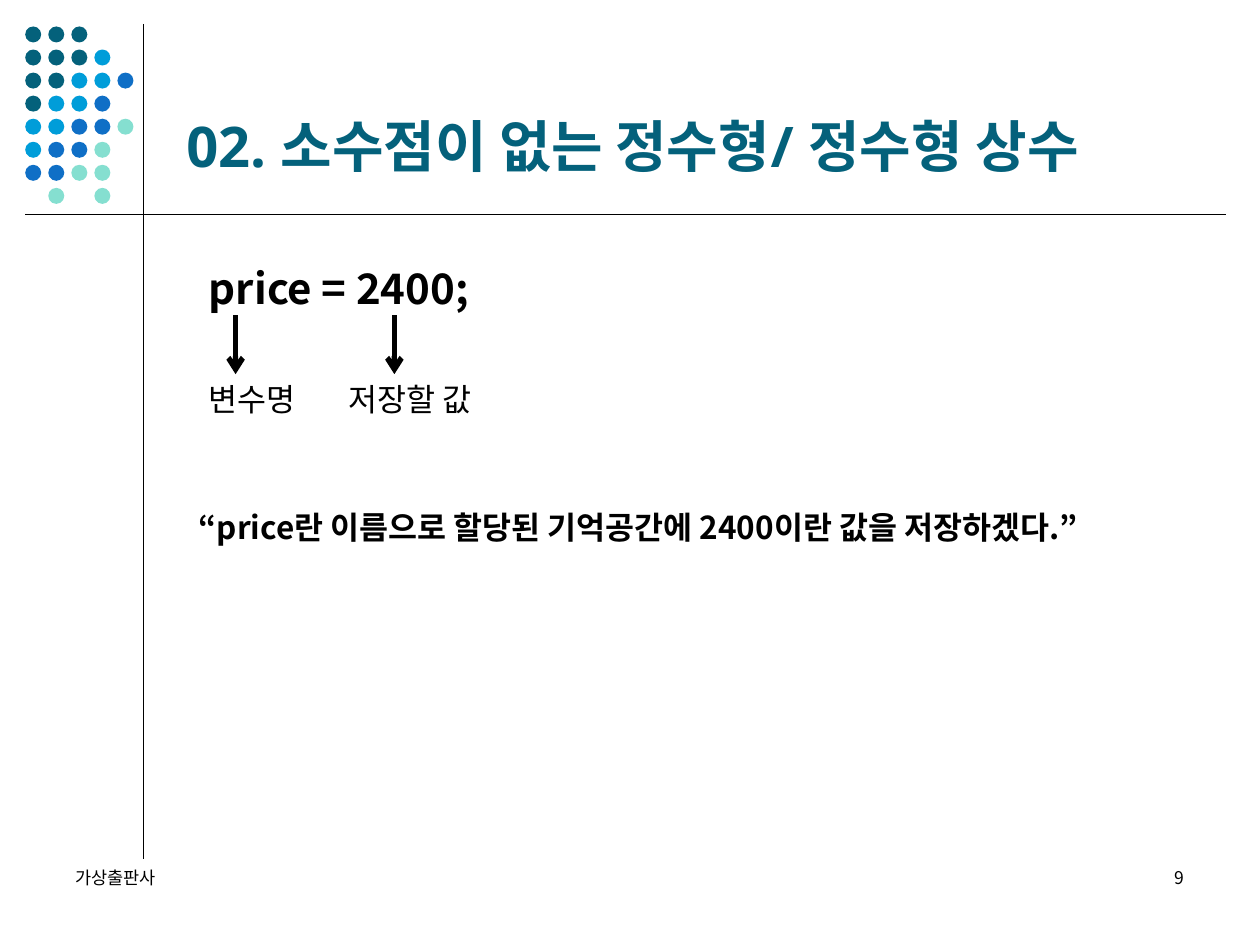
"""Build the slide on integer types and integer constants."""
from lxml import etree
from pptx import Presentation
from pptx.dml.color import RGBColor
from pptx.enum.shapes import MSO_CONNECTOR, MSO_SHAPE
from pptx.enum.text import MSO_ANCHOR, PP_ALIGN
from pptx.oxml.ns import qn
from pptx.util import Inches, Pt

STRAIGHT = MSO_CONNECTOR.STRAIGHT
OVAL = MSO_SHAPE.OVAL
TOP, MIDDLE, BOTTOM = MSO_ANCHOR.TOP, MSO_ANCHOR.MIDDLE, MSO_ANCHOR.BOTTOM
LEFT, RIGHT = PP_ALIGN.LEFT, PP_ALIGN.RIGHT
SANS, KOREAN = "Open Sans", "Noto Sans CJK KR"
COLORS = {"black": "000000", "T": "04617B", "C": "009DD9", "B": "0F6FC6", "M": "85DFD0"}

prs = Presentation()
prs.slide_width, prs.slide_height = Inches(10), Inches(7.5)
COL, ROW = prs.slide_width / 100, prs.slide_height / 75
s = prs.slides.add_slide(prs.slide_layouts[6])


def add_line(x1, y1, x2, y2, width, arrow=False):
    line = s.shapes.add_connector(
        STRAIGHT, int(x1 * COL), int(y1 * ROW), int(x2 * COL), int(y2 * ROW)
    )
    line.line.color.rgb = RGBColor.from_string(COLORS["black"])
    line.line.width = Pt(width)
    if arrow:
        etree.SubElement(line.line._get_or_add_ln(), qn("a:tailEnd"), type="arrow")
    etree.SubElement(line._element.spPr, qn("a:effectLst"))


def add_text(text, x, y, w, h, size, bold=False, font=KOREAN, color="black", anchor=TOP, align=LEFT):
    sp = s.shapes.add_textbox(int(x * COL), int(y * ROW), int(w * COL), int(h * ROW))
    tf = sp.text_frame
    tf.word_wrap = True
    tf.vertical_anchor = anchor
    tf.text = text
    p = tf.paragraphs[0]
    p.alignment = align
    r = p.runs[0]
    r.font.size, r.font.bold, r.font.name = Pt(size), bold, font
    r.font.color.rgb = RGBColor.from_string(COLORS[color])
    etree.SubElement(r.font._element, qn("a:ea"), typeface=KOREAN)


add_line(11.4, 1.9, 11.4, 68.2, 0.75)

dots = s.shapes.add_group_shape()
for row, pattern in enumerate(["TTT", "TTTC", "TTCCB", "TCCB", "CCBBM", "CBBM", "BBMM", " M M"]):
    for col, key in enumerate(pattern):
        if key != " ":
            sp = dots.shapes.add_shape(
                OVAL, int((2 + 1.83 * col) * COL), int((2.1 + 1.83 * row) * ROW),
                int(1.27 * COL), int(1.27 * ROW),
            )
            sp.shadow.inherit = False
            sp.fill.solid()
            sp.fill.fore_color.rgb = RGBColor.from_string(COLORS[key])
            sp.line.fill.background()

add_line(2, 17, 97.3, 17, 0.75)
add_text("02. 소수점이 없는 정수형/ 정수형 상수", 13.8, 2.1, 82.5, 12.6, 32, True, SANS, "T", BOTTOM)

add_text("price = 2400;", 15.6, 20.3, 40.6, 5, 24, True, anchor=MIDDLE)
for label, label_x, arrow_x in [("변수명", 15.6, 18.7), ("저장할 값", 26.7, 31.3)]:
    add_line(arrow_x, 25, arrow_x, 29.7, 3, True)
    add_text(label, label_x, 29.7, 14, 4, 18)
add_text("“price란 이름으로 할당된 기억공간에 2400이란 값을 저장하겠다.”", 14.8, 39.8, 82.8, 7, 18, True)

for text, x, align in [("가상출판사", 5, LEFT), ("9", 71.7, RIGHT)]:
    add_text(text, x, 68.3, 23.3, 5, 10, align=align)

prs.save("out.pptx")
